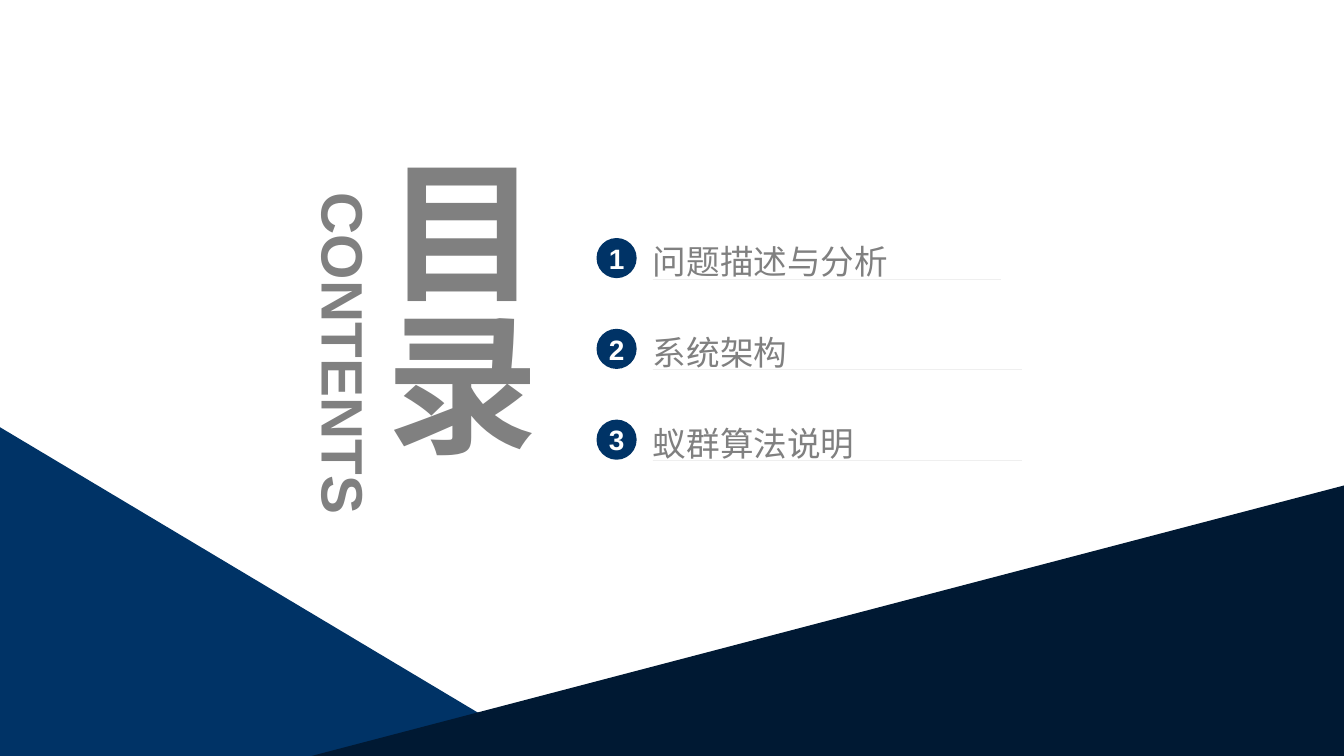
from dataclasses import dataclass

from pptx import Presentation
from pptx.dml.color import RGBColor
from pptx.enum.shapes import MSO_SHAPE
from pptx.enum.text import MSO_ANCHOR, MSO_AUTO_SIZE, PP_ALIGN
from pptx.util import Inches, Pt


@dataclass(frozen=True)
class Theme:
    font: str = "Arial"
    navy: RGBColor = RGBColor(0x00, 0x33, 0x66)
    midnight: RGBColor = RGBColor(0x00, 0x19, 0x33)
    gray: RGBColor = RGBColor(0x80, 0x80, 0x80)
    white: RGBColor = RGBColor(0xFF, 0xFF, 0xFF)
    title_size: float = 115
    subtitle_size: float = 44
    number_size: float = 21.1
    item_size: float = 25.3


theme = Theme()


def write(shape, text, *, size, color=theme.gray, bold=False, align=PP_ALIGN.CENTER,
          anchor=MSO_ANCHOR.MIDDLE, wrap=True, spacing=None, fit=MSO_AUTO_SIZE.NONE):
    """Put one formatted paragraph in a shape."""
    frame = shape.text_frame
    frame.text = text
    frame.auto_size = fit
    frame.word_wrap = wrap
    frame.vertical_anchor = anchor
    frame.margin_left = frame.margin_right = frame.margin_top = frame.margin_bottom = 0
    paragraph = frame.paragraphs[0]
    paragraph.alignment = align
    if spacing:
        paragraph.line_spacing = spacing
    font = paragraph.runs[0].font
    font.name, font.size, font.bold = theme.font, Pt(size), bold
    font.color.rgb = color


def paint(shape, color):
    """Give a shape a flat fill without outline or shadow."""
    shape.shadow.inherit = False
    shape.fill.solid()
    shape.fill.fore_color.rgb = color
    shape.line.fill.background()


WIDTH, HEIGHT = 14.06, 7.91
prs = Presentation()
prs.slide_width, prs.slide_height = Inches(WIDTH), Inches(HEIGHT)
slide = prs.slides.add_slide(prs.slide_layouts[5])
shapes = slide.shapes

# Vertical heading
heading = shapes.title
heading.left, heading.top = Inches(3.81), Inches(1.62)
heading.width, heading.height = Inches(1.94), Inches(4.15)
write(heading, "目录", size=theme.title_size, bold=True, align=PP_ALIGN.LEFT)
heading.text_frame._txBody.bodyPr.set("vert", "eaVert")

# Rotated subheading
subheading = shapes.add_textbox(Inches(1.8), Inches(3.33), Inches(3.61), Inches(0.74))
subheading.rotation = 90
write(subheading, "CONTENTS", size=theme.subtitle_size, bold=True,
      anchor=MSO_ANCHOR.TOP)

# Chapter rows: number badge and underlined name
ROW_PITCH = 0.95
NAME_LEFT, NAME_TOP, NAME_HEIGHT = 6.83, 2.42, 0.5
chapters = [("问题描述与分析", 3.64), ("系统架构", 3.86), ("蚁群算法说明", 3.86)]
for row, (name, rule_length) in enumerate(chapters):
    offset = row * ROW_PITCH
    badge = shapes.add_shape(MSO_SHAPE.OVAL, Inches(6.24), Inches(2.49 + offset),
                             Inches(0.42), Inches(0.42))
    paint(badge, theme.navy)
    write(badge, str(row + 1), size=theme.number_size, color=theme.white, bold=True,
          wrap=False)

    # The outline is a hairline at the bottom; a point at the top gives the text its height
    left, right = Inches(NAME_LEFT), Inches(NAME_LEFT + rule_length)
    top = Inches(NAME_TOP + offset)
    bottom = top + Inches(NAME_HEIGHT)
    rule = shapes.build_freeform(left, bottom)
    rule.add_line_segments([(right, bottom), (left, bottom)], close=True)
    rule.move_to(left, top)
    rule.add_line_segments([(left, top)], close=True)
    chapter = rule.convert_to_shape()
    paint(chapter, theme.gray)
    write(chapter, name, size=theme.item_size, align=PP_ALIGN.LEFT, spacing=1.3,
          fit=MSO_AUTO_SIZE.SHAPE_TO_FIT_TEXT)

# Corner triangles
corners = [
    (theme.navy, [(0, 4.47), (5.76, HEIGHT), (0, HEIGHT)]),
    (theme.midnight, [(WIDTH, 5.08), (WIDTH, HEIGHT), (3.26, HEIGHT)]),
]
for color, points in corners:
    start, *others = [(Inches(x), Inches(y)) for x, y in points]
    outline = shapes.build_freeform(*start)
    outline.add_line_segments(others, close=True)
    paint(outline.convert_to_shape(), color)

prs.save("out.pptx")
